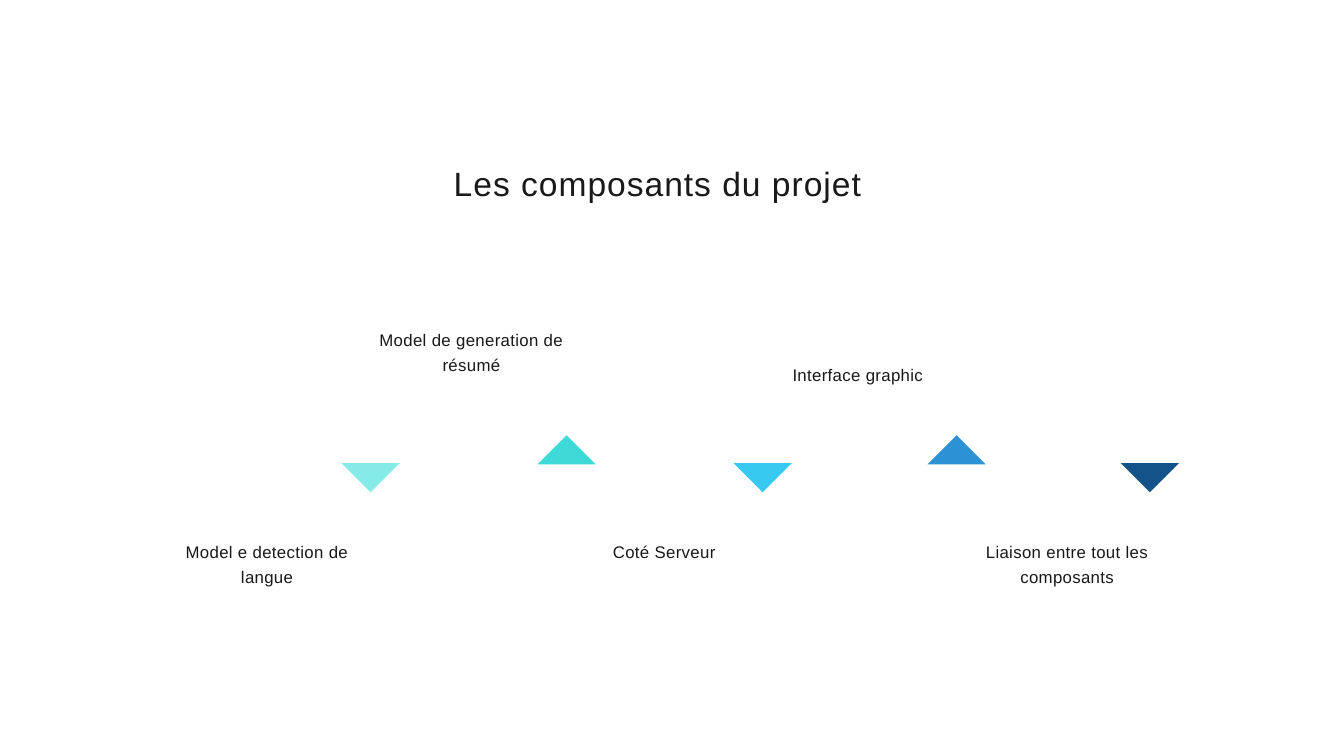
from pptx import Presentation
from pptx.dml.color import RGBColor
from pptx.enum.text import MSO_ANCHOR, MSO_AUTO_SIZE, PP_ALIGN
from pptx.util import Pt

PX = 9525
TEXT_COLOR = RGBColor(0x19, 0x19, 0x19)
AQUA = RGBColor(0x86, 0xEA, 0xE9)
TURQUOISE = RGBColor(0x3E, 0xDA, 0xD8)
SKY = RGBColor(0x37, 0xC9, 0xEF)
BLUE = RGBColor(0x2C, 0x92, 0xD5)
NAVY = RGBColor(0x13, 0x53, 0x8A)

TITLE = "Les composants du projet"
TITLE_BOX = (540, 228, 799, 63)

# label, label left, label top, label height, marker left, marker colour, marker direction
COMPONENTS = [
    ("Model e detection de langue", 248, 767, 73, 500, AQUA, "down"),
    ("Model de generation de résumé", 540, 464, 69, 780, TURQUOISE, "up"),
    ("Coté Serveur ", 819, 767, 36, 1060, SKY, "down"),
    ("Interface graphic", 1092, 514, 36, 1337, BLUE, "up"),
    ("Liaison entre tout les composants", 1391, 767, 73, 1613, NAVY, "down"),
]
LABEL_WIDTH = 267
MARKER_SIDE = 59
MARKER_TOP = {"down": 632, "up": 634}
MARKER_ROTATION = {"down": 315, "up": 135}


def place(shape, left, top, width, height):
    shape.left, shape.top = left * PX, top * PX
    shape.width, shape.height = width * PX, height * PX


def write(shape, text, size, line_height, tracking):
    frame = shape.text_frame
    frame.text = text
    frame.word_wrap = True
    frame.auto_size = MSO_AUTO_SIZE.NONE
    frame.vertical_anchor = MSO_ANCHOR.TOP
    frame.margin_left = frame.margin_top = frame.margin_right = frame.margin_bottom = 0
    paragraph = frame.paragraphs[0]
    paragraph.alignment = PP_ALIGN.CENTER
    paragraph.line_spacing = Pt(line_height)
    run = paragraph.runs[0]
    run.font.name = "Arial"
    run.font.size = Pt(size)
    run.font.color.rgb = TEXT_COLOR
    run.font._element.set("spc", str(tracking))


def add_marker(slide, left, color, direction):
    top = MARKER_TOP[direction]
    right, bottom = left + MARKER_SIDE, top + MARKER_SIDE
    builder = slide.shapes.build_freeform(left, top, scale=PX)
    builder.add_line_segments([(right, bottom), (left, bottom)], close=True)
    marker = builder.convert_to_shape()
    marker.rotation = MARKER_ROTATION[direction]
    marker.fill.solid()
    marker.fill.fore_color.rgb = color
    marker.line.fill.background()
    marker.shadow.inherit = False


def main():
    presentation = Presentation()
    presentation.slide_width = 1920 * PX
    presentation.slide_height = 1080 * PX
    slide = presentation.slides.add_slide(presentation.slide_layouts[5])

    title = slide.shapes.title
    place(title, *TITLE_BOX)
    write(title, TITLE, 36, 47.2, 108)

    for label, left, top, height, marker_left, color, direction in COMPONENTS:
        add_marker(slide, marker_left, color, direction)
        box = slide.shapes.add_textbox(0, 0, 0, 0)
        place(box, left, top, LABEL_WIDTH, height)
        write(box, label, 18, 27, 36)

    presentation.save("out.pptx")


if __name__ == "__main__":
    main()
